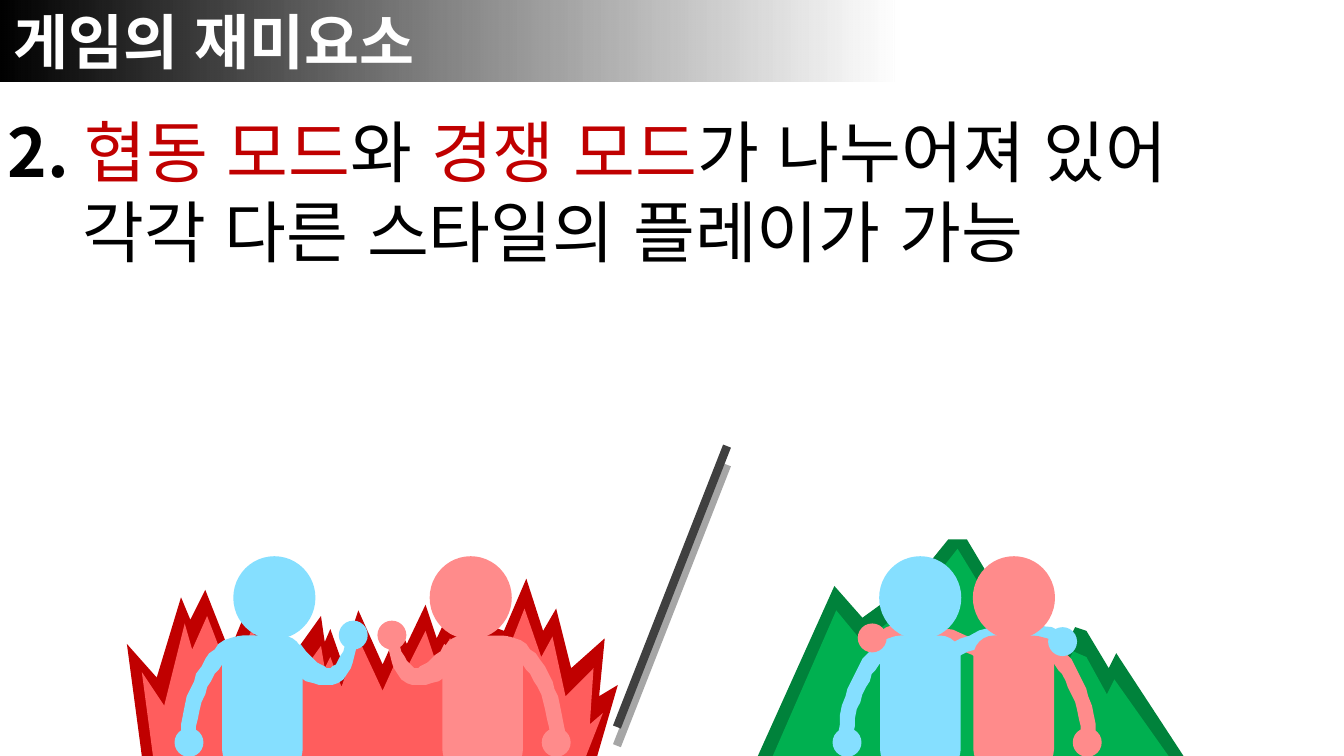
"""Build the slide on cooperative and competitive game modes."""
from math import hypot
from lxml.etree import SubElement
from pptx import Presentation
from pptx.dml.color import RGBColor
from pptx.enum.lang import MSO_LANGUAGE_ID
from pptx.enum.shapes import MSO_CONNECTOR, MSO_SHAPE
from pptx.enum.text import MSO_ANCHOR, PP_ALIGN
from pptx.oxml.ns import qn
from pptx.util import Pt

COLORS = {"black": "000000", "white": "FFFFFF", "accent": "C00000", "flame": "FF5D5D",
          "blue": "85DFFF", "pink": "FF8B8B", "forest": "00823B", "green": "00B050",
          "divider": "404040", "shadow": "A6A6A6"}
FONT = "Noto Sans CJK KR"
SLIDE_WIDTH, SLIDE_HEIGHT = 720, 405
BODY_WIDTH, BODY_TOP = 43.2, 340.5
HEAD_WIDTH, HEAD_HEIGHT, HEAD_TOP = 44, 44.5, 298
HAND = 15.5
ARM_WIDTH = 33
CURVE_STEPS = 16


def paint(shape, color):
    """Give a shape a plain fill with neither outline nor shadow."""
    shape.shadow.inherit = False
    shape.fill.solid()
    shape.fill.fore_color.rgb = RGBColor.from_string(COLORS[color])
    shape.line.fill.background()
    return shape


def outline(points, color):
    """Draw a closed, filled outline through the points."""
    builder = shapes.build_freeform(*points[0], scale=Pt(1))
    builder.add_line_segments(points[1:], close=True)
    return paint(builder.convert_to_shape(), color)


presentation = Presentation()
presentation.slide_width, presentation.slide_height = Pt(SLIDE_WIDTH), Pt(SLIDE_HEIGHT)
slide = presentation.slides.add_slide(presentation.slide_layouts[6])
shapes = slide.shapes

banner = paint(shapes.add_shape(MSO_SHAPE.RECTANGLE, 0, 0, Pt(479), Pt(43.5)), "black")
banner.fill.gradient()
banner.fill.gradient_angle = 0
stops = banner._element.spPr.find(".//" + qn("a:gsLst"))
for stop in list(stops):
    stops.remove(stop)
for position, opacity in ((0, 100), (48, 50), (100, 0)):
    stop = SubElement(stops, qn("a:gs"), pos=str(position * 1000))
    stop_color = SubElement(stop, qn("a:srgbClr"), val=COLORS["black"])
    SubElement(stop_color, qn("a:alpha"), val=str(opacity * 1000))
banner.text_frame.vertical_anchor = MSO_ANCHOR.MIDDLE

statement = shapes.add_textbox(Pt(-3), Pt(55.5), Pt(704), Pt(94.5))
statement.text_frame.word_wrap = False
statement.text_frame.add_paragraph()
first_line, second_line = statement.text_frame.paragraphs
second_line._p.get_or_add_pPr().set("marL", str(Pt(40)))

texts = [
    (banner.text_frame.paragraphs[0], 32, [("게임의 재미요소", "white", True)]),
    (first_line, 36, [("2. ", "black", True), ("협동 모드", "accent", False), ("와 ", "black", False),
                      ("경쟁 모드", "accent", False), ("가 나누어져 있어", "black", False)]),
    (second_line, 36, [("각각 다른 스타일의 플레이가 가능", "black", False)])]
for paragraph, size, runs in texts:
    paragraph.alignment = PP_ALIGN.LEFT
    paragraph.font.size = Pt(size)
    paragraph.font.name = FONT
    for text, color, bold in runs:
        run = paragraph.add_run()
        run.text = text
        run.font.bold = bold
        run.font.language_id = MSO_LANGUAGE_ID.KOREAN
        run.font.color.rgb = RGBColor.from_string(COLORS[color])
        SubElement(run._r.get_or_add_rPr(), qn("a:ea"), typeface=FONT)

flame_tips = [(68.5, 345), (97, 319.5), (109.5, 315.5), (134.5, 322), (172, 330.5),
              (177, 337), (192, 327), (214.5, 335.5), (228, 323.5), (241, 327),
              (281.5, 310.5), (297.5, 326), (323.5, 342.5), (331, 367)]
flame_dips = [(83.5, 363), (101.5, 332.5), (123, 349), (152, 358.5), (173.5, 343.5),
              (183, 353.5), (205, 355.5), (217.5, 345), (234.5, 341.5), (270.5, 338.5),
              (291, 337.5), (306, 358), (321, 373), (319.5, SLIDE_HEIGHT)]
flame = [(75.5, SLIDE_HEIGHT)]
for tip, dip in zip(flame_tips, flame_dips):
    flame += [tip, dip]

left_slope = [(405.5, SLIDE_HEIGHT), (447, 314), (462, 331), (491, 309.5)]
right_slope = [(546.5, 335.5), (571.5, 344), (575.5, 336), (582, 338.5), (594.5, 358.5),
               (598.5, 350.5), (634.5, SLIDE_HEIGHT)]
plateau, summit = [(507.5, 289), (518.5, 289)], [(512.5, 281.5)]
mountain = left_slope + plateau + right_slope
mountain_crest = left_slope + summit + right_slope

backdrops = [(flame, flame, "accent", "flame", 8, 15),
             (mountain, mountain_crest, "forest", "green", 9, 13)]
for outer, crest, rim_color, core_color, inset, drop in backdrops:
    left, right = min(x for x, y in outer), max(x for x, y in outer)
    center, half_width = (left + right) / 2, (right - left) / 2
    core = [(x - inset * ((x - center) / half_width) ** 5, min(y + drop, SLIDE_HEIGHT))
            for x, y in crest]
    outline(outer, rim_color)
    outline(core, core_color)

limbs = {"hanging": ([(31, 4), (19, 6), (4.5, 30), (4.5, 57)], 9, 8),
         "raised": ([(0, 9), (16, 28), (29, 27), (33, 1)], 13, 6)}
arm_outlines = {}
for name, (controls, shoulder_width, wrist_width) in limbs.items():
    upper_edge, lower_edge = [], []
    for step in range(CURVE_STEPS + 1):
        t = step / CURVE_STEPS
        weights = ((1 - t) ** 3, 3 * t * (1 - t) ** 2, 3 * t * t * (1 - t), t ** 3)
        slopes = ((1 - t) ** 2, 2 * t * (1 - t), t * t)
        x, y = (sum(weight * point[axis] for weight, point in zip(weights, controls))
                for axis in (0, 1))
        run_x, run_y = (sum(slope * (end[axis] - start[axis])
                            for slope, start, end in zip(slopes, controls, controls[1:]))
                        for axis in (0, 1))
        reach = (shoulder_width + (wrist_width - shoulder_width) * t) / 2 / hypot(run_x, run_y)
        upper_edge.append((x - run_y * reach, y + run_x * reach))
        lower_edge.append((x + run_y * reach, y - run_x * reach))
    arm_outlines[name] = upper_edge + lower_edge[::-1]

for left, top, color, mirrored, rotation in ((484, 317.5, "pink", True, 305.7),
                                             (526.5, 316, "blue", False, 61.5)):
    arm = [(left + (ARM_WIDTH - x if mirrored else x), top + y)
           for x, y in arm_outlines["hanging"]]
    outline(arm, color).rotation = rotation

figures = [("blue", 119, False, 6, True), ("pink", 237, True, 6, True),
           ("blue", 471.5, False, -0.5, False), ("pink", 521.5, True, -0.5, False)]
for color, left, mirrored, head_offset, fighting in figures:
    arms = [("hanging", -23, 341.5)]
    parts = [(MSO_SHAPE.ROUNDED_RECTANGLE, 0, BODY_TOP, BODY_WIDTH, 72),
             (MSO_SHAPE.OVAL, head_offset, HEAD_TOP, HEAD_WIDTH, HEAD_HEIGHT),
             (MSO_SHAPE.OVAL, -25.5, 390, HAND, HAND)]
    if fighting:
        arms.append(("raised", 37, BODY_TOP))
        parts.append((MSO_SHAPE.OVAL, 62.5, 332.5, HAND, HAND))
    for name, offset, top in arms:
        outline([(left + (BODY_WIDTH - offset - x if mirrored else offset + x), top + y)
                 for x, y in arm_outlines[name]], color)
    for kind, offset, top, width, height in parts:
        x = left + (BODY_WIDTH - offset - width if mirrored else offset)
        part = paint(shapes.add_shape(kind, Pt(x), Pt(top), Pt(width), Pt(height)), color)
        if kind == MSO_SHAPE.ROUNDED_RECTANGLE:
            part.adjustments[0] = 0.255

for left, top, color in ((561.5, 336, "blue"), (459.5, 334, "pink")):
    paint(shapes.add_shape(MSO_SHAPE.OVAL, Pt(left), Pt(top), Pt(HAND), Pt(HAND)), color)

divider = shapes.add_connector(MSO_CONNECTOR.STRAIGHT, Pt(330.5), Pt(389.5), Pt(389.5), Pt(239))
divider.line.width = Pt(4.5)
divider.line.color.rgb = RGBColor.from_string(COLORS["divider"])
effects = SubElement(divider._element.spPr, qn("a:effectLst"))
shadow = SubElement(effects, qn("a:outerShdw"), dist=str(Pt(10)), dir="5400000", rotWithShape="0")
SubElement(shadow, qn("a:srgbClr"), val=COLORS["shadow"])

presentation.save("out.pptx")
